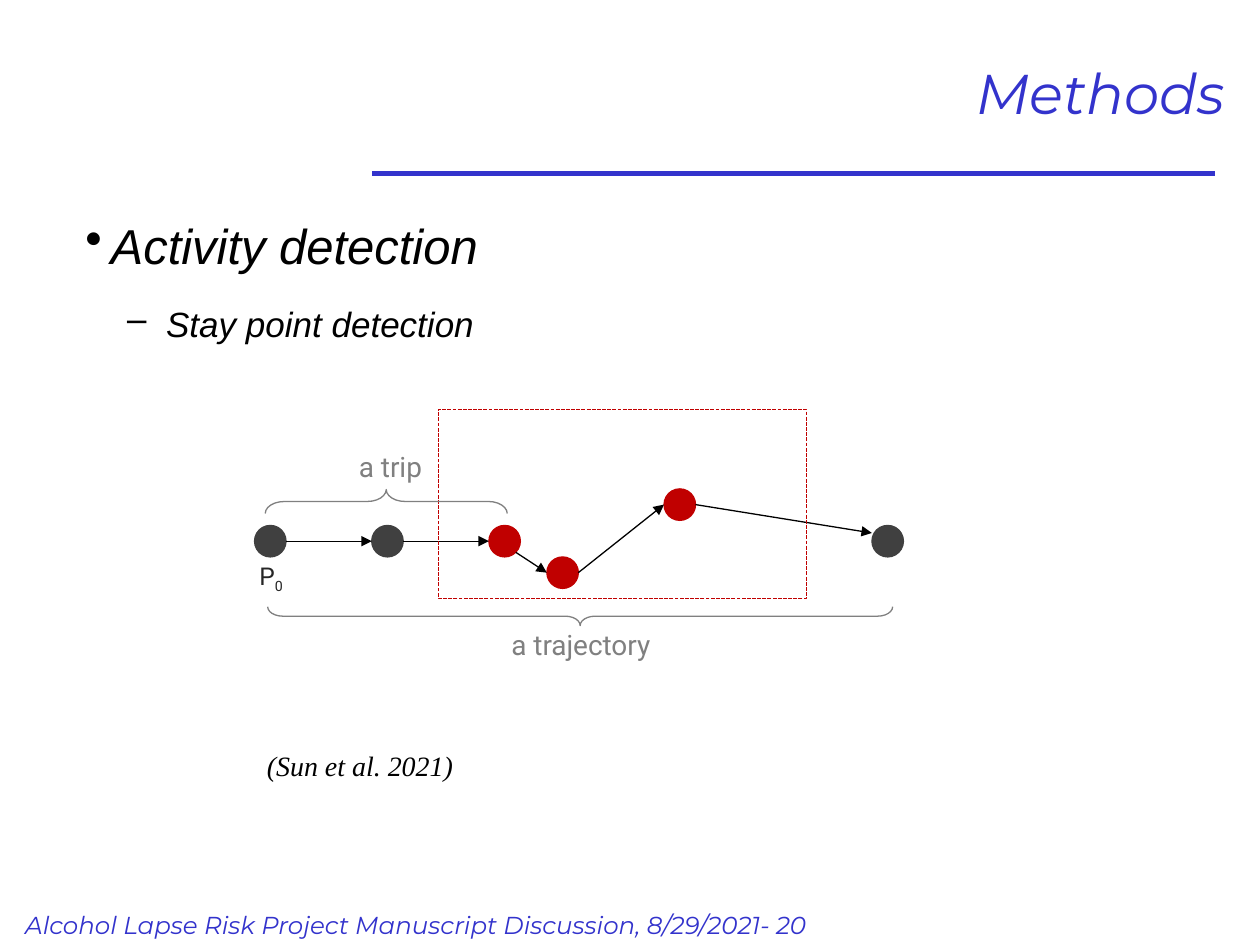
import pptx
import pptx.util
import pptx.dml.color
import pptx.enum.dml
import pptx.enum.shapes
import pptx.enum.text
from lxml import etree
from pptx.oxml.ns import qn

Inches = pptx.util.Inches
Pt = pptx.util.Pt
RGBColor = pptx.dml.color.RGBColor
MSO_SHAPE = pptx.enum.shapes.MSO_SHAPE
MSO_ANCHOR = pptx.enum.text.MSO_ANCHOR
PP_ALIGN = pptx.enum.text.PP_ALIGN

BLUE = RGBColor(0x33, 0x33, 0xCC)
BLACK = RGBColor(0, 0, 0)
DARK = RGBColor(0x40, 0x40, 0x40)
LABEL = RGBColor(0x26, 0x26, 0x26)
GRAY = RGBColor(0x80, 0x80, 0x80)
RED = RGBColor(0xC0, 0, 0)

DOT = 0.25
RADIUS = DOT / 2
DIAGONAL = RADIUS * 0.71

# Left, top and colour of each location, in order of visit
POINTS = [
    (2.02, 4.17, DARK),
    (2.95, 4.17, DARK),
    (3.88, 4.17, RED),
    (4.34, 4.42, RED),
    (5.27, 3.88, RED),
    (6.92, 4.17, DARK),
]


def style_font(paragraph, size, name, color, italic=False):
    font = paragraph.font
    font.size = Pt(size)
    font.name = name
    font.color.rgb = color
    font.italic = italic


def add_text(slide, box, text, size, name, color, italic=False, wrap=False):
    frame = slide.shapes.add_textbox(*map(Inches, box)).text_frame
    frame.word_wrap = wrap
    if not wrap:
        frame.auto_size = pptx.enum.text.MSO_AUTO_SIZE.SHAPE_TO_FIT_TEXT
    paragraph = frame.paragraphs[0]
    paragraph.add_run().text = text
    style_font(paragraph, size, name, color, italic)
    return frame


def set_bullet(paragraph, char, margin, indent):
    properties = paragraph._p.get_or_add_pPr()
    properties.set("marL", str(Inches(margin)))
    properties.set("indent", str(Inches(indent)))
    etree.SubElement(properties, qn("a:buChar")).set("char", char)


def add_outline(slide, kind, box, color, fill=None):
    shape = slide.shapes.add_shape(kind, *map(Inches, box))
    shape.shadow.inherit = False
    if fill is None:
        shape.fill.background()
    else:
        shape.fill.solid()
        shape.fill.fore_color.rgb = fill
    shape.line.color.rgb = color
    shape.line.width = Pt(0.75)
    return shape


def add_brace(slide, box, rotation):
    brace = add_outline(slide, MSO_SHAPE.LEFT_BRACE, box, GRAY)
    brace.rotation = rotation
    brace.adjustments[0] = 0.79
    brace.adjustments[1] = 0.5


def add_line(slide, start, end, color, width, arrow=False):
    line = slide.shapes.add_connector(
        pptx.enum.shapes.MSO_CONNECTOR.STRAIGHT, *map(Inches, start + end))
    line.line.color.rgb = color
    line.line.width = Pt(width)
    if arrow:
        outline = line.line._get_or_add_ln()
        etree.SubElement(outline, qn("a:tailEnd")).set("type", "triangle")
    etree.SubElement(line._element.spPr, qn("a:effectLst"))


def add_outline_text(slide):
    frame = add_text(slide, (0.58, 1.43, 9.08, 5.5), "Activity detection",
                     28, "Arial", BLACK, italic=True, wrap=True)
    topic = frame.paragraphs[0]
    topic.line_spacing = 1.5
    set_bullet(topic, "•", 0.2, -0.2)

    method = frame.add_paragraph()
    method.text = "Stay point detection"
    method.level = 1
    method.line_spacing = 1.5
    method.space_before = Pt(4)
    set_bullet(method, "–", 0.64, -0.31)
    style_font(method, 20, "Arial", BLACK, italic=True)


def add_path(slide):
    for left, top, color in POINTS:
        add_outline(slide, MSO_SHAPE.OVAL, (left, top, DOT, DOT), color, color)

    # Arrows run from right side to left side, unless listed here
    starts = {2: (RADIUS + DIAGONAL, RADIUS + DIAGONAL)}
    ends = {5: (0, 0.06)}
    for i in range(len(POINTS) - 1):
        from_x, from_y, _ = POINTS[i]
        to_x, to_y, _ = POINTS[i + 1]
        start_dx, start_dy = starts.get(i, (DOT, RADIUS))
        end_dx, end_dy = ends.get(i + 1, (0, RADIUS))
        add_line(slide, (from_x + start_dx, from_y + start_dy),
                 (to_x + end_dx, to_y + end_dy), BLACK, 0.75, arrow=True)


def add_labels(slide):
    # Stay area
    area = add_outline(slide, MSO_SHAPE.RECTANGLE, (3.48, 3.25, 2.92, 1.5), RED)
    area.line.dash_style = pptx.enum.dml.MSO_LINE.SQUARE_DOT

    # Trajectory and trip
    add_brace(slide, (4.53, 2.41, 0.15, 4.96), 270)
    add_text(slide, (3.96, 4.93, 1.31, 0.37), "a trajectory", 16, "Roboto", GRAY)
    add_brace(slide, (2.97, 3.02, 0.19, 1.92), 90)
    add_text(slide, (2.75, 3.52, 0.7, 0.37), "a trip", 16, "Roboto", GRAY)

    # Citation
    add_text(slide, (2.02, 5.89, 1.7, 0.37), "(Sun et al. 2021)",
             16, "Times New Roman", BLACK, italic=True)

    # Starting point
    origin = add_text(slide, (1.96, 4.4, 0.41, 0.34), "P", 14, "Roboto", LABEL)
    subscript = origin.paragraphs[0].add_run()
    subscript.text = "0"
    subscript.font._element.set("baseline", "-25000")


def main():
    deck = pptx.Presentation()
    deck.slide_width = Inches(10)
    deck.slide_height = Inches(7.5)
    slide = deck.slides.add_slide(deck.slide_layouts[6])

    # Rule and footer
    add_line(slide, (9.64, 1.38), (2.95, 1.38), BLUE, 3)
    footer = add_text(
        slide, (0, 7.17, 7.28, 0.34),
        "Alcohol Lapse Risk Project Manuscript Discussion, 8/29/2021- 20",
        14, "Montserrat", BLUE, italic=True)
    footer.margin_left = Inches(0.2)

    # Title
    title = add_text(slide, (0.74, 0.14, 9.08, 1.18), "Methods",
                     32, "Montserrat", BLUE, italic=True, wrap=True)
    title.vertical_anchor = MSO_ANCHOR.MIDDLE
    title.paragraphs[0].alignment = PP_ALIGN.RIGHT

    add_outline_text(slide)
    add_path(slide)
    add_labels(slide)
    deck.save("out.pptx")


if __name__ == "__main__":
    main()
